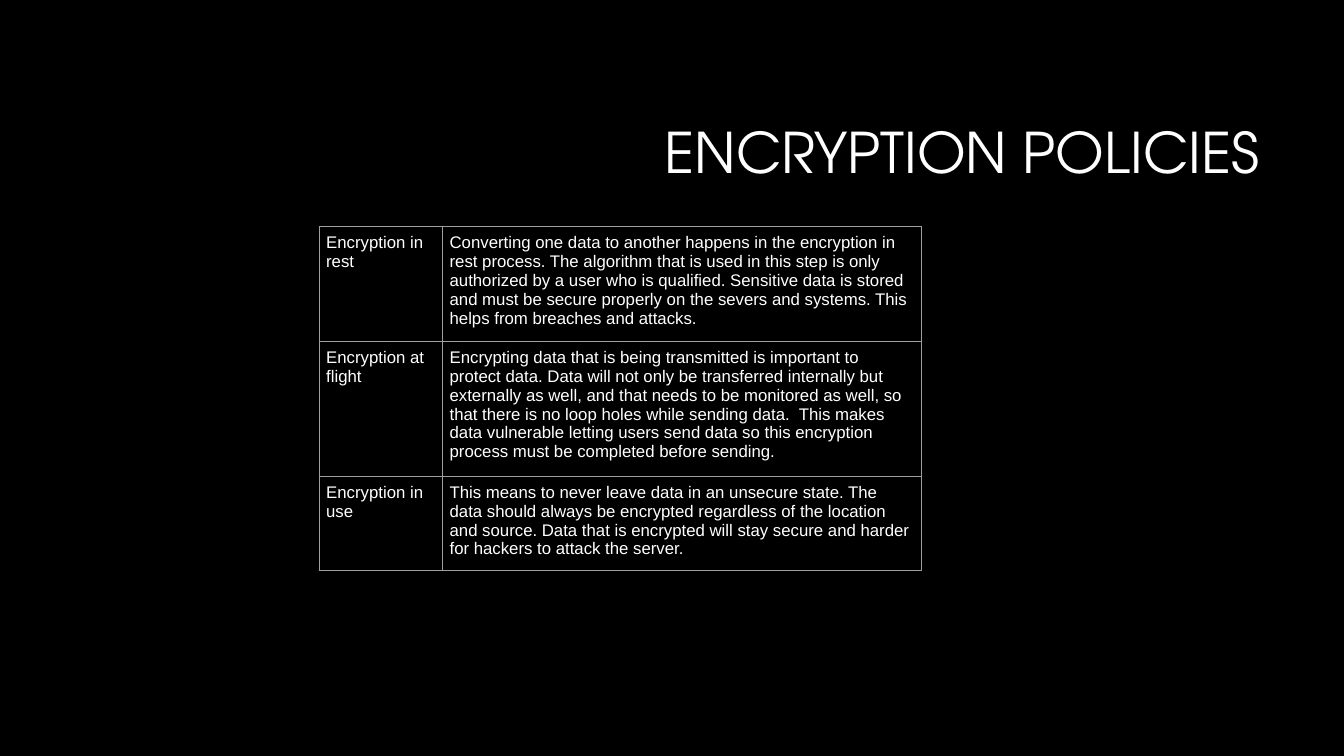
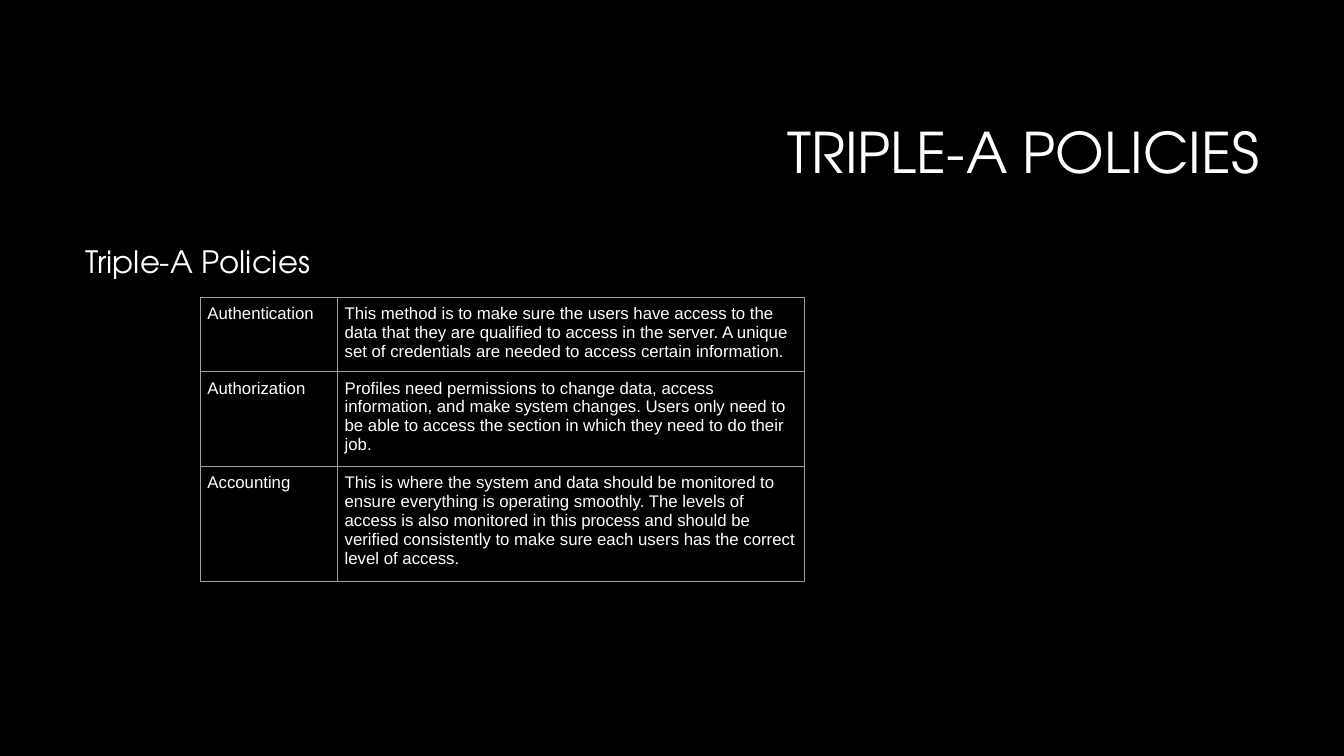
from dataclasses import dataclass

from lxml.etree import SubElement
from pptx import Presentation
from pptx.dml.color import RGBColor as RGB
from pptx.enum.text import MSO_ANCHOR as Anchor, PP_ALIGN as Align
from pptx.oxml.ns import qn
from pptx.util import Pt


@dataclass(frozen=True)
class Theme:
    background: str = "000000"
    text: str = "FFFFFF"
    border: str = "9E9E9E"
    border_width: float = 0.75
    display_font: str = "TeX Gyre Adventor"
    table_font: str = "Arial"
    title_size: int = 40
    body_size: int = 22
    table_size: int = 12
    cell_margin: int = 5


ENCRYPTION_ROWS = [
    ("Encryption in rest",
     "Converting one data to another happens in the encryption in rest process. "
     "The algorithm that is used in this step is only authorized by a user who is "
     "qualified. Sensitive data is stored and must be secure properly on the severs "
     "and systems. This helps from breaches and attacks."),
    ("Encryption at flight",
     "Encrypting data that is being transmitted is important to protect data. Data "
     "will not only be transferred internally but externally as well, and that needs "
     "to be monitored as well, so that there is no loop holes while sending data.  "
     "This makes data vulnerable letting users send data so this encryption process "
     "must be completed before sending."),
    ("Encryption in use",
     "This means to never leave data in an unsecure state. The data should always be "
     "encrypted regardless of the location and source. Data that is encrypted will "
     "stay secure and harder for hackers to attack the server."),
]

TRIPLE_A_ROWS = [
    ("Authentication",
     "This method is to make sure the users have access to the data that they are "
     "qualified to access in the server. A unique set of credentials are needed to "
     "access certain information."),
    ("Authorization",
     "Profiles need permissions to change data, access information, and make system "
     "changes. Users only need to be able to access the section in which they need "
     "to do their job."),
    ("Accounting",
     "This is where the system and data should be monitored to ensure everything is "
     "operating smoothly. The levels of access is also monitored in this process and "
     "should be verified consistently to make sure each users has the correct level "
     "of access."),
]


def write(tf, text, *, font, size, color, align=Align.LEFT, spacing=None):
    p = tf.paragraphs[0]
    p.alignment = align
    if spacing:
        p.line_spacing = spacing
    r = p.add_run()
    r.text = text
    r.font.name = font
    r.font.size = Pt(size)
    r.font.color.rgb = RGB.from_string(color)


def outline_cell(cell, color, width):
    """Draw all four borders; they must precede the fill in tcPr."""
    tc_pr = cell._tc.get_or_add_tcPr()
    for i, side in enumerate(("a:lnL", "a:lnR", "a:lnT", "a:lnB")):
        ln = SubElement(tc_pr, qn(side), w=str(Pt(width)))
        tc_pr.insert(i, ln)
        fill = SubElement(ln, qn("a:solidFill"))
        SubElement(fill, qn("a:srgbClr"), val=color)


class Deck:
    def __init__(self, theme):
        self.theme = theme
        self.prs = Presentation()
        self.prs.slide_width, self.prs.slide_height = Pt(960), Pt(540)
        self.slide = None

    def add_slide(self, title):
        self.slide = self.prs.slides.add_slide(self.prs.slide_layouts[6])
        fill = self.slide.background.fill
        fill.solid()
        fill.fore_color.rgb = RGB.from_string(self.theme.background)
        self.text(title, 228, 60.5, 678.5, 101.5, size=self.theme.title_size,
                  align=Align.RIGHT, anchor=Anchor.MIDDLE)

    def text(self, text, left, top, width, height, *, size,
             align=Align.LEFT, anchor=Anchor.TOP):
        sp = self.slide.shapes.add_textbox(Pt(left), Pt(top), Pt(width), Pt(height))
        tf = sp.text_frame
        tf.word_wrap = True
        tf.vertical_anchor = anchor
        write(tf, text, font=self.theme.display_font, size=size,
              color=self.theme.text, align=align, spacing=0.9)

    def table(self, rows, left, top, widths, heights):
        th = self.theme
        frame = self.slide.shapes.add_table(
            len(rows), len(widths), Pt(left), Pt(top), Pt(sum(widths)), Pt(sum(heights)))
        table = frame.table
        table.first_row = table.horz_banding = False
        for column, width in zip(table.columns, widths):
            column.width = Pt(width)
        for row, height, texts in zip(table.rows, heights, rows):
            row.height = Pt(height)
            for cell, text in zip(row.cells, texts):
                cell.fill.background()
                cell.margin_left = cell.margin_right = Pt(th.cell_margin)
                cell.margin_top = cell.margin_bottom = Pt(th.cell_margin)
                outline_cell(cell, th.border, th.border_width)
                write(cell.text_frame, text, font=th.table_font,
                      size=th.table_size, color=th.text)

    def save(self):
        self.prs.save("out.pptx")


def main():
    deck = Deck(Theme())

    deck.add_slide("ENCRYPTION POLICIES")
    deck.table(ENCRYPTION_ROWS, 228, 161.8, (88.2, 341.8), (77, 90.5, 64))

    deck.add_slide("TRIPLE-A POLICIES")
    deck.text("Triple-A Policies", 54, 173, 852, 317, size=deck.theme.body_size)
    deck.table(TRIPLE_A_ROWS, 143.2, 212.4, (98, 333.4), (50, 64, 77))

    deck.save()


if __name__ == "__main__":
    main()
